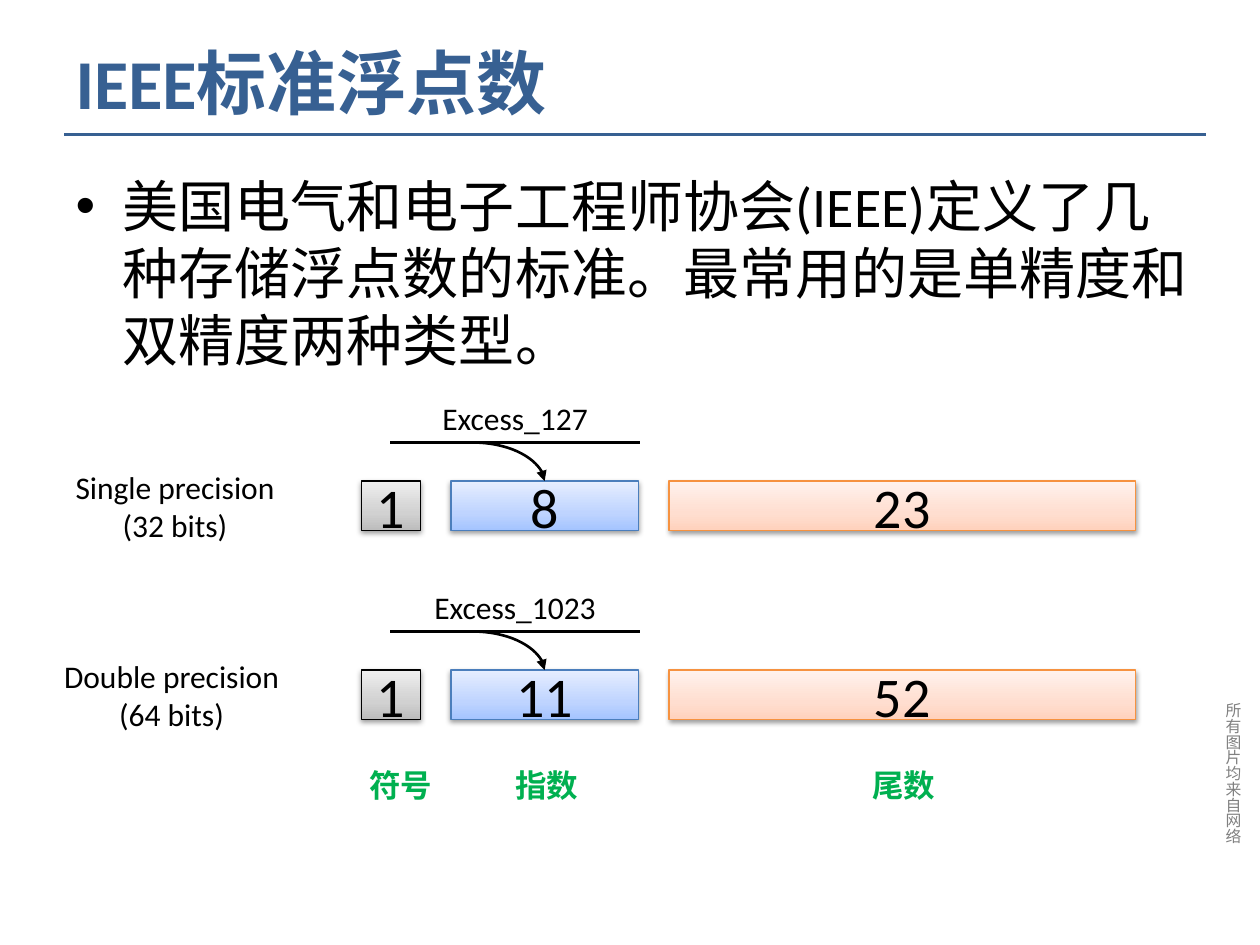
from copy import deepcopy
from lxml import etree
from pptx import Presentation
from pptx.dml.color import RGBColor
from pptx.enum.shapes import MSO_CONNECTOR, MSO_SHAPE
from pptx.enum.text import MSO_ANCHOR, MSO_AUTO_SIZE, PP_ALIGN
from pptx.oxml.ns import qn
from pptx.util import Cm, Pt

LEFT, CENTER, RIGHT = PP_ALIGN.LEFT, PP_ALIGN.CENTER, PP_ALIGN.RIGHT
TOP, MIDDLE = MSO_ANCHOR.TOP, MSO_ANCHOR.MIDDLE
STRAIGHT, CURVE = MSO_CONNECTOR.STRAIGHT, MSO_CONNECTOR.CURVE
RECTANGLE = MSO_SHAPE.RECTANGLE
NO_AUTOSIZE = MSO_AUTO_SIZE.NONE

TITLE = "IEEE标准浮点数"
BODY = "美国电气和电子工程师协会(IEEE)定义了几种存储浮点数的标准。最常用的是单精度和双精度两种类型。"
SIDE_NOTE = "所有图片均来自网络"

FORMATS = [
    {"name": "Single precision (32 bits)", "name_left": 1.17, "name_width": 4.72,
     "excess": "Excess_127", "bits": ("1", "8", "23")},
    {"name": "Double precision (64 bits)", "name_left": 0.69, "name_width": 5.54,
     "excess": "Excess_1023", "bits": ("1", "11", "52")},
]
FIELDS = [
    {"name": "符号", "name_left": 6.5, "name_width": 2.46, "left": 7.29, "width": 1.19,
     "line": "000000", "stops": ("BDBDBD", "D1D1D1", "EEEEEE")},
    {"name": "指数", "name_left": 8.51, "name_width": 3.4, "left": 9.09, "width": 3.78,
     "line": "4B7EBC", "stops": ("A4C4FF", "BFD4FF", "E6EEFF")},
    {"name": "尾数", "name_left": 15.7, "name_width": 3.4, "left": 13.49, "width": 9.4,
     "line": "F69240", "stops": ("FFD2BD", "FFDED0", "FFF2ED")},
]
THEME = {
    "font": "Calibri", "title": "376092", "ink": "000000", "field_name": "00B050", "note": "808080",
    "title_size": 40, "large_size": 32, "label_size": 18, "note_size": 9,
    "rule_line": 1.75, "arrow_line": 1.5, "box_line": 0.75,
}
STOP_POSITIONS = (0, 0.35, 1)
FIRST_ROW, ROW_PITCH, BOX_HEIGHT = 9.7, 3.81, 0.99
EXCESS_LEFT, EXCESS_WIDTH, EXCESS_RISE = 7.87, 5.03, 0.78
ARROW_START = 9.5
LABEL_HEIGHT = 1.02


def write(shape, text, size, color, align=LEFT, anchor=TOP, bold=False):
    frame = shape.text_frame
    frame.word_wrap = True
    frame.auto_size = NO_AUTOSIZE
    frame.vertical_anchor = anchor
    para = frame.paragraphs[0]
    para.alignment = align
    span = para.add_run()
    span.text = text
    span.font.name = THEME["font"]
    span.font.size = Pt(size)
    span.font.bold = bold
    span.font.color.rgb = RGBColor.from_string(color)


def place(shape, left, top, width, height):
    shape.left, shape.top, shape.width, shape.height = map(Cm, (left, top, width, height))


def add_label(page, area, text, size, color, align=LEFT, bold=False):
    label = page.shapes.add_textbox(*map(Cm, area))
    write(label, text, size, color, align, bold=bold)
    return label


def add_line(page, kind, start, end, color, width):
    line = page.shapes.add_connector(kind, *map(Cm, start + end))
    line.line.color.rgb = RGBColor.from_string(color)
    line.line.width = Pt(width)
    etree.SubElement(line._element.spPr, qn("a:effectLst"))
    return line


def add_curved_arrow(page, start, end):
    arrow = add_line(page, CURVE, start, end, THEME["ink"], THEME["arrow_line"])
    properties = arrow._element.spPr
    properties.find(qn("a:prstGeom")).set("prst", "curvedConnector2")
    etree.SubElement(properties.find(qn("a:ln")), qn("a:tailEnd"), type="triangle")


def fill_gradient(box, colors):
    box.fill.gradient()
    box.fill.gradient_angle = 90
    stop_list = box._element.spPr.find(".//" + qn("a:gsLst"))
    stop_list.append(deepcopy(stop_list[0]))
    for stop, position, color in zip(box.fill.gradient_stops, STOP_POSITIONS, colors):
        stop.position = position
        stop.color.rgb = RGBColor.from_string(color)


def add_shadow(box):
    box.shadow.inherit = False
    effects = box._element.spPr.find(qn("a:effectLst"))
    shadow = etree.SubElement(effects, qn("a:outerShdw"), blurRad=str(Pt(3.1)),
                              dist=str(Pt(1.6)), dir="5400000", rotWithShape="0")
    color = etree.SubElement(shadow, qn("a:srgbClr"), val=THEME["ink"])
    etree.SubElement(color, qn("a:alpha"), val="38000")


def add_field(page, field, top, bits):
    box = page.shapes.add_shape(
        RECTANGLE, *map(Cm, (field["left"], top, field["width"], BOX_HEIGHT)))
    fill_gradient(box, field["stops"])
    box.line.color.rgb = RGBColor.from_string(field["line"])
    box.line.width = Pt(THEME["box_line"])
    add_shadow(box)
    write(box, bits, THEME["large_size"], THEME["ink"], CENTER, MIDDLE)


def add_format(page, row, top):
    label_size, ink = THEME["label_size"], THEME["ink"]
    for field, bits in zip(FIELDS, row["bits"]):
        add_field(page, field, top, bits)
    exponent = FIELDS[1]
    line_top = top - EXCESS_RISE
    add_curved_arrow(page, (ARROW_START, line_top),
                     (exponent["left"] + exponent["width"] / 2, top))
    add_line(page, STRAIGHT, (EXCESS_LEFT, line_top),
             (EXCESS_LEFT + EXCESS_WIDTH, line_top), ink, THEME["arrow_line"])
    add_label(page, (EXCESS_LEFT, line_top - 1, EXCESS_WIDTH, LABEL_HEIGHT),
              row["excess"], label_size, ink, CENTER)
    add_label(page, (row["name_left"], top - 0.38, row["name_width"], 1.8),
              row["name"], label_size, ink, CENTER)


def main():
    deck = Presentation()
    deck.slide_width, deck.slide_height = Cm(25.4), Cm(19.05)
    page = deck.slides.add_slide(deck.slide_layouts[1])

    note = add_label(page, (24.28, 13.92, 0.89, 3.4), SIDE_NOTE, THEME["note_size"], THEME["note"])
    note.text_frame._txBody.bodyPr.set("vert", "eaVert")
    add_line(page, STRAIGHT, (1.3, 2.72), (24.31, 2.72), THEME["title"], THEME["rule_line"])

    title, body = page.placeholders
    place(title, 1.27, 0.76, 22.86, 1.75)
    write(title, TITLE, THEME["title_size"], THEME["title"], anchor=MIDDLE, bold=True)
    place(body, 1.27, 3.33, 23.04, 4.6)
    write(body, BODY, THEME["large_size"], THEME["ink"])

    for index, row in enumerate(FORMATS):
        add_format(page, row, FIRST_ROW + index * ROW_PITCH)
    for field in FIELDS:
        add_label(page, (field["name_left"], 15.32, field["name_width"], LABEL_HEIGHT),
                  field["name"], THEME["label_size"], THEME["field_name"], RIGHT, True)
    deck.save("out.pptx")


if __name__ == "__main__":
    main()
